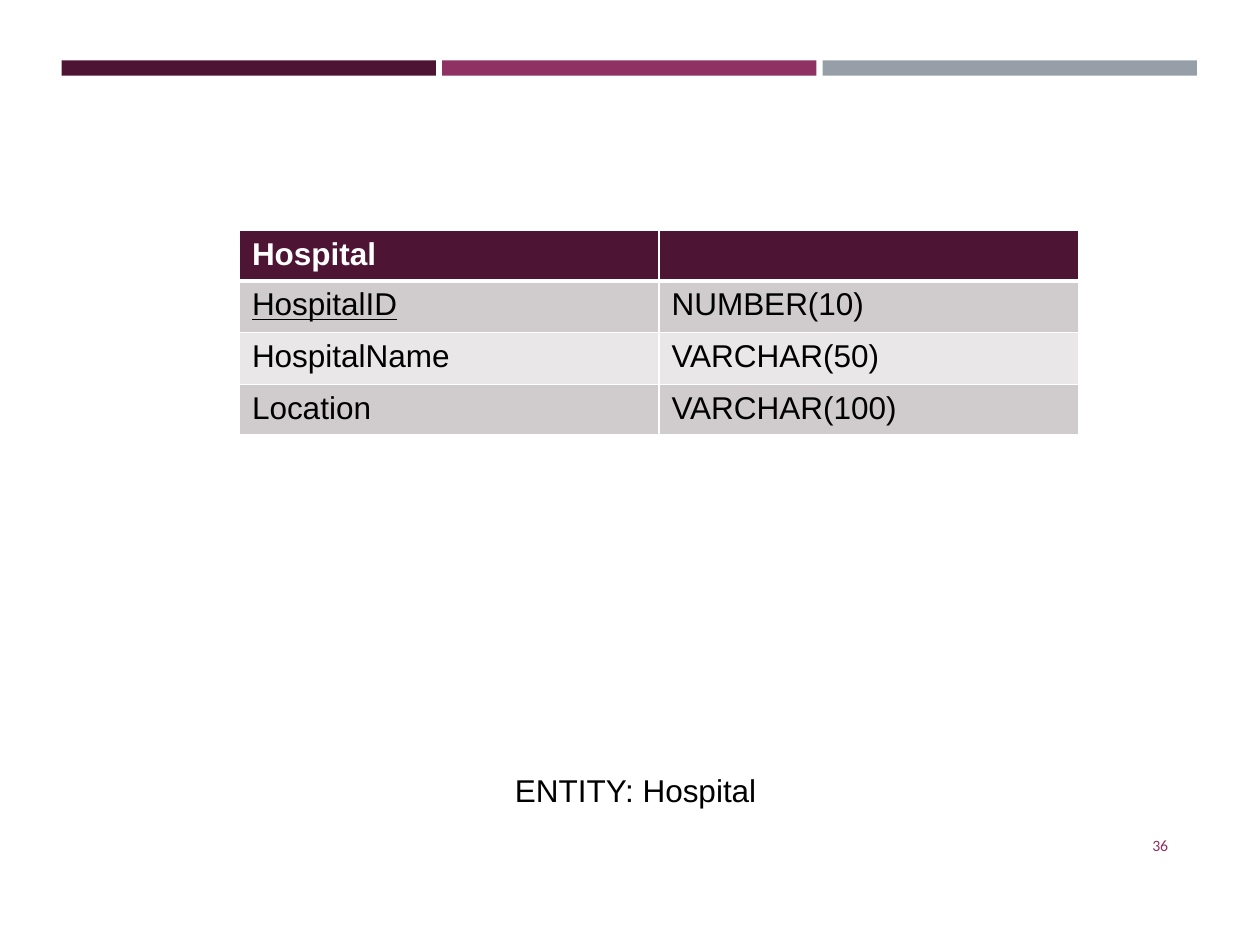
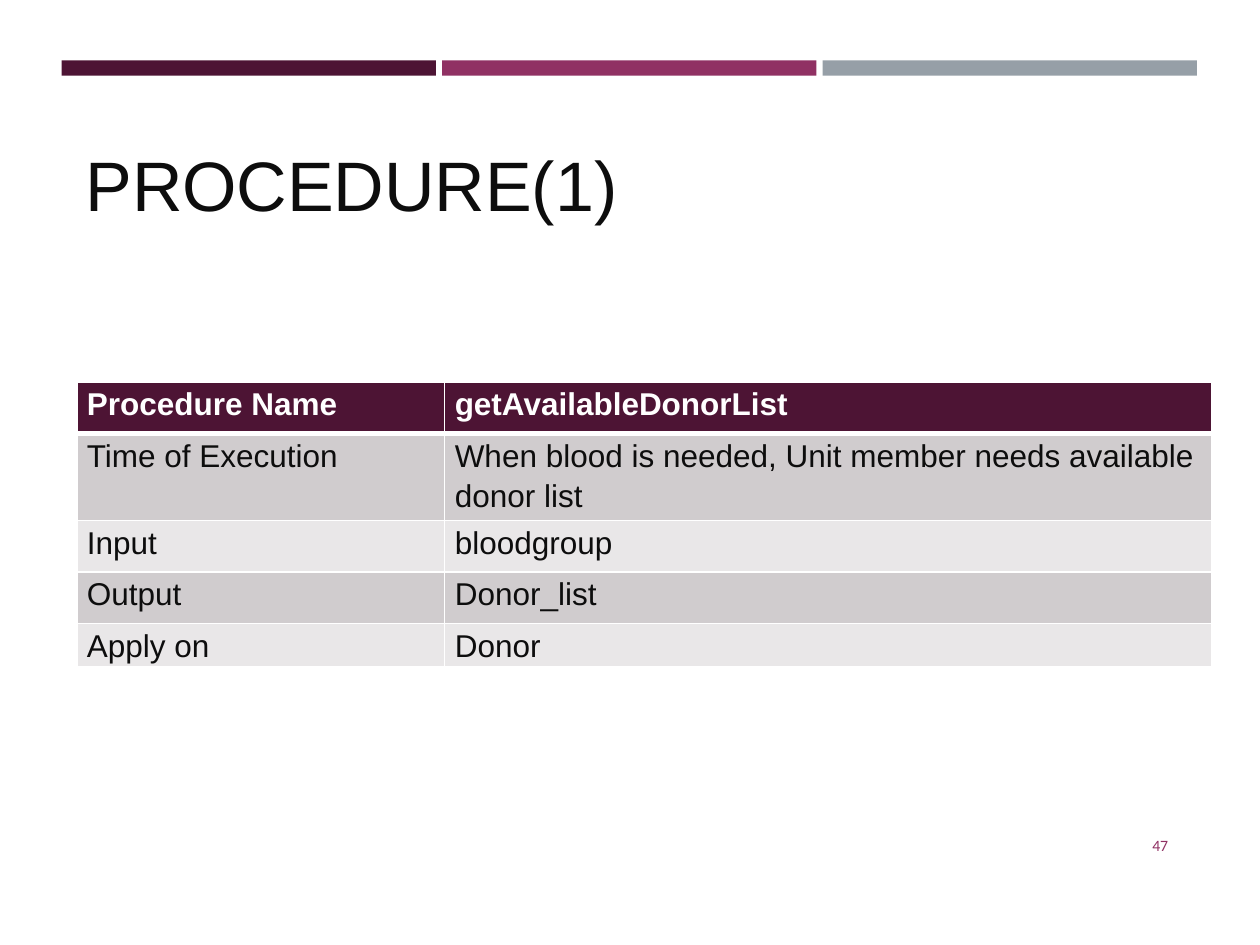
import dataclasses

import lxml.etree
import pptx
import pptx.dml.color
import pptx.enum.shapes
import pptx.enum.text
import pptx.oxml.ns
import pptx.presentation
import pptx.slide
import pptx.table
import pptx.text.text
import pptx.util

Inches = pptx.util.Inches
Pt = pptx.util.Pt
Align = pptx.enum.text.PP_ALIGN
Anchor = pptx.enum.text.MSO_ANCHOR

COLORS = {
    "plum": "4D1434",
    "magenta": "903163",
    "slate": "969FA7",
    "white": "FFFFFF",
    "black": "000000",
    "ink": "0D0D0D",
    "band_dark": "D0CCCE",
    "band_light": "E9E7E8",
}
BAND_COLORS = ("plum", "magenta", "slate")
BAND_LEFT, BAND_TOP, BAND_WIDTH, BAND_HEIGHT, BAND_STEP = 0.49, 0.48, 2.97, 0.12, 3.02
BODY_SIZE = 18


@dataclasses.dataclass(frozen=True)
class TextStyle:
    size: float
    color: str
    font: str = "Arial"
    bold: bool = False
    underline: bool = False


@dataclasses.dataclass(frozen=True)
class Label:
    text: str
    left: float
    top: float
    width: float
    height: float
    style: TextStyle
    align: Align = Align.LEFT
    anchor: Anchor = Anchor.TOP


@dataclasses.dataclass(frozen=True)
class Grid:
    left: float
    top: float
    column_widths: tuple[float, ...]
    row_heights: tuple[float, ...]
    rows: tuple[tuple[str, ...], ...]
    text_color: str
    margin_x: float = 0.1
    margin_y: float = 0.05
    line_spacing: float = 1.0
    key_field: str = ""


def rgb(name: str) -> pptx.dml.color.RGBColor:
    return pptx.dml.color.RGBColor.from_string(COLORS[name])


def style_paragraph(para: pptx.text.text._Paragraph, style: TextStyle) -> None:
    for span in para.runs:
        span.font.name = style.font
        span.font.size = Pt(style.size)
        span.font.bold = style.bold
        span.font.underline = style.underline
        span.font.color.rgb = rgb(style.color)


def add_label(page: pptx.slide.Slide, label: Label) -> None:
    box = page.shapes.add_textbox(
        Inches(label.left), Inches(label.top), Inches(label.width), Inches(label.height)
    )
    frame = box.text_frame
    frame.word_wrap = True
    frame.vertical_anchor = label.anchor
    frame.text = label.text
    para = frame.paragraphs[0]
    para.alignment = label.align
    style_paragraph(para, label.style)


def set_borders(cell: pptx.table._Cell, top: float, bottom: float) -> None:
    """Draw white edges; they must stand before the fill in the cell's XML."""
    properties = cell._tc.get_or_add_tcPr()
    edges = {"lnL": 1, "lnR": 1, "lnT": top, "lnB": bottom}
    for index, (edge, width) in enumerate(edges.items()):
        line = lxml.etree.Element(pptx.oxml.ns.qn(f"a:{edge}"), w=str(Pt(width)))
        fill = lxml.etree.SubElement(line, pptx.oxml.ns.qn("a:solidFill"))
        lxml.etree.SubElement(fill, pptx.oxml.ns.qn("a:srgbClr"), val=COLORS["white"])
        properties.insert(index, line)


def fill_cell(cell: pptx.table._Cell, grid: Grid, row: int, text: str) -> None:
    is_header = row == 0
    cell.margin_left = cell.margin_right = Inches(grid.margin_x)
    cell.margin_top = cell.margin_bottom = Inches(grid.margin_y)
    body_fill = "band_dark" if row % 2 else "band_light"
    cell.fill.solid()
    cell.fill.fore_color.rgb = rgb("plum" if is_header else body_fill)
    set_borders(cell, top=3 if row == 1 else 1, bottom=3 if is_header else 1)
    cell.text_frame.text = text
    para = cell.text_frame.paragraphs[0]
    para.line_spacing = grid.line_spacing
    style_paragraph(para, TextStyle(
        BODY_SIZE,
        "white" if is_header else grid.text_color,
        bold=is_header,
        underline=bool(text) and text == grid.key_field,
    ))


def add_grid(page: pptx.slide.Slide, grid: Grid) -> None:
    table = page.shapes.add_table(
        len(grid.rows), len(grid.column_widths), Inches(grid.left), Inches(grid.top),
        Inches(sum(grid.column_widths)), Inches(sum(grid.row_heights)),
    ).table
    for column, width in zip(table.columns, grid.column_widths):
        column.width = Inches(width)
    for row, (height, texts) in enumerate(zip(grid.row_heights, grid.rows)):
        table.rows[row].height = Inches(height)
        for column, text in enumerate(texts):
            fill_cell(table.cell(row, column), grid, row, text)


def add_page(deck: pptx.presentation.Presentation, number: int) -> pptx.slide.Slide:
    """Add a blank page with the three top bands and the page number."""
    page = deck.slides.add_slide(deck.slide_layouts[6])
    for index, color in enumerate(BAND_COLORS):
        band = page.shapes.add_shape(
            pptx.enum.shapes.MSO_SHAPE.RECTANGLE,
            Inches(BAND_LEFT + index * BAND_STEP), Inches(BAND_TOP),
            Inches(BAND_WIDTH), Inches(BAND_HEIGHT),
        )
        band.shadow.inherit = False
        band.fill.solid()
        band.fill.fore_color.rgb = rgb(color)
        band.line.fill.background()
    add_label(page, Label(
        str(number), 8.53, 6.51, 0.84, 0.4,
        TextStyle(9, "magenta", font="Calibri"), Align.RIGHT, Anchor.MIDDLE,
    ))
    return page


def add_hospital_page(deck: pptx.presentation.Presentation) -> None:
    page = add_page(deck, 36)
    add_grid(page, Grid(
        left=1.9, top=1.83,
        column_widths=(3.33, 3.33),
        row_heights=(0.37, 0.41, 0.41, 0.37),
        rows=(
            ("Hospital", ""),
            ("HospitalID", "NUMBER(10)"),
            ("HospitalName", "VARCHAR(50)"),
            ("Location", "VARCHAR(100)"),
        ),
        text_color="black",
        key_field="HospitalID",
    ))
    add_label(page, Label(
        "ENTITY: Hospital", 2.92, 6.07, 4.25, 0.42,
        TextStyle(BODY_SIZE, "black"), Align.CENTER,
    ))


def add_procedure_page(deck: pptx.presentation.Presentation) -> None:
    page = add_page(deck, 47)
    add_label(page, Label(
        "PROCEDURE(1)", 0.58, 0.92, 8.83, 0.92,
        TextStyle(40, "ink"), anchor=Anchor.BOTTOM,
    ))
    add_grid(page, Grid(
        left=0.61, top=3.03,
        column_widths=(2.92, 6.09),
        row_heights=(0.41, 0.64, 0.41, 0.41, 0.3),
        rows=(
            ("Procedure Name", "getAvailableDonorList"),
            ("Time of Execution",
             "When blood is needed, Unit member needs available donor list"),
            ("Input", "bloodgroup"),
            ("Output", "Donor_list"),
            ("Apply on", "Donor"),
        ),
        text_color="ink",
        margin_x=0.08, margin_y=0, line_spacing=1.15,
    ))


def main() -> None:
    deck = pptx.Presentation()
    deck.slide_width, deck.slide_height = Inches(10), Inches(7.5)
    add_hospital_page(deck)
    add_procedure_page(deck)
    deck.save("out.pptx")


if __name__ == "__main__":
    main()
